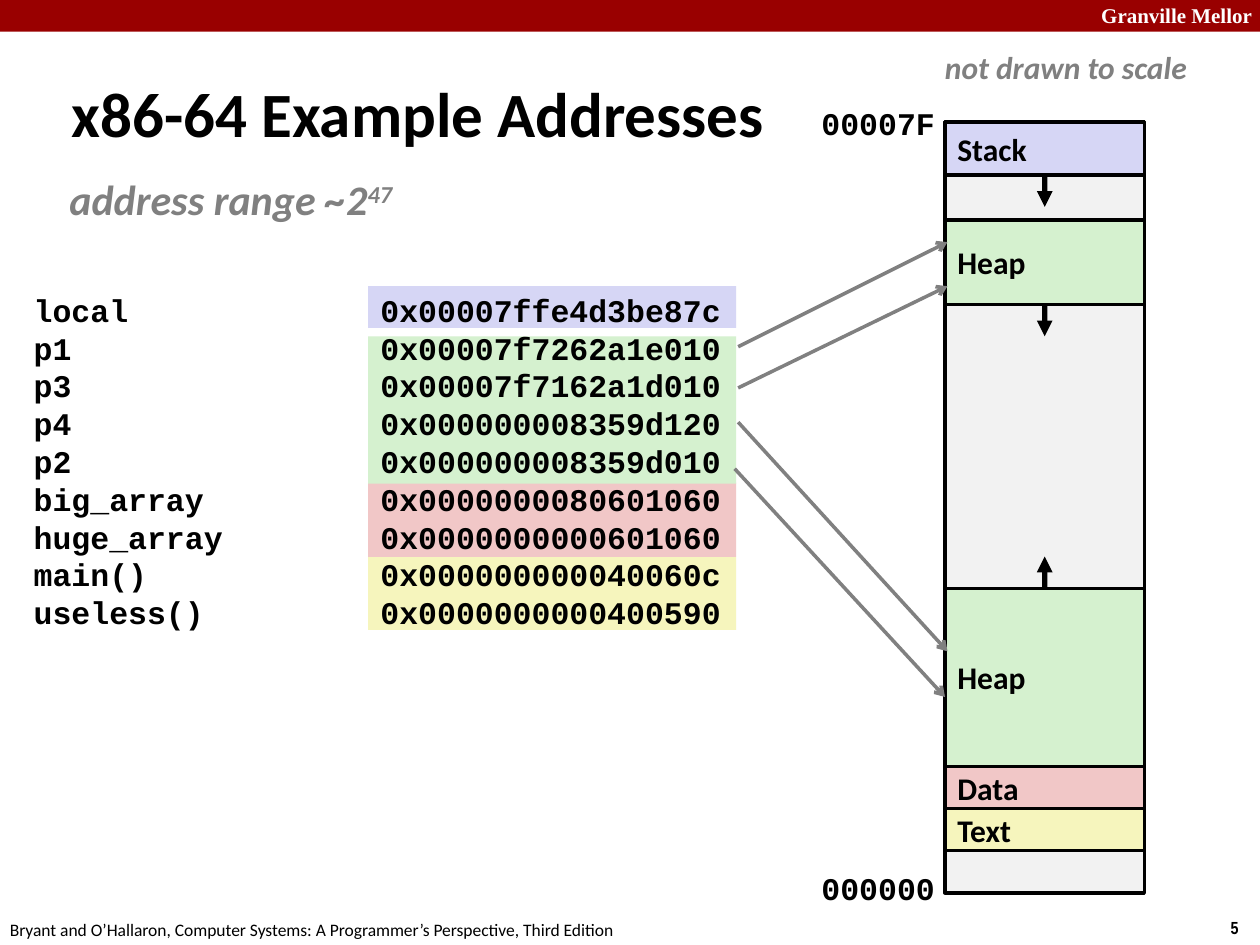
from dataclasses import dataclass

import lxml.etree
import pptx
import pptx.dml.color
import pptx.enum.shapes
import pptx.enum.text
import pptx.oxml
import pptx.oxml.ns
import pptx.util

Cm = pptx.util.Cm
Pt = pptx.util.Pt
ANCHOR = pptx.enum.text.MSO_ANCHOR
BOTTOM, TOP = 2, 0


@dataclass(frozen=True)
class Theme:
    banner: str = "990000"
    ink: str = "000000"
    paper: str = "FFFFFF"
    muted: str = "808080"
    unused: str = "F2F2F2"
    stack: str = "D6D6F5"
    heap: str = "D5F1CF"
    data: str = "F1C7C7"
    code: str = "F6F5BD"
    sans: str = "Calibri"
    mono: str = "Courier New"
    serif: str = "Times New Roman"
    narrow: str = "Arial Narrow"
    title: int = 36
    subtitle: int = 24
    body: int = 18
    banner_size: int = 12
    small: int = 10


@dataclass(frozen=True)
class Box:
    left: float
    top: float
    width: float
    height: float

    def inner(self, left, top, width, height):
        return Box(self.left + left, self.top + top, width, height)

    def lengths(self):
        return Cm(self.left), Cm(self.top), Cm(self.width), Cm(self.height)


THEME = Theme()


def rgb(value):
    return pptx.dml.color.RGBColor.from_string(value)


def style(paragraph, size, name, color=THEME.ink, bold=True, italic=False):
    font = paragraph.font
    font.size, font.name, font.bold, font.italic = Pt(size), name, bold, italic
    font.color.rgb = rgb(color)
    paragraph.alignment = pptx.enum.text.PP_ALIGN.LEFT


def add_text(slide, box, text, size, name, wrap=False, anchor=ANCHOR.TOP, **font):
    shape = slide.shapes.add_textbox(*box.lengths())
    frame = shape.text_frame
    frame.word_wrap, frame.vertical_anchor = wrap, anchor
    frame.text = text
    for paragraph in frame.paragraphs:
        style(paragraph, size, name, **font)
    return shape


def add_block(slide, box, fill, outlined=False, label=""):
    shape = slide.shapes.add_shape(
        pptx.enum.shapes.MSO_SHAPE.RECTANGLE, *box.lengths())
    shape.shadow.inherit = False
    shape.fill.solid()
    shape.fill.fore_color.rgb = rgb(fill)
    if outlined:
        shape.line.color.rgb = rgb(THEME.ink)
        shape.line.width = Pt(2)
    else:
        shape.line.fill.background()
    if label:
        shape.text_frame.text = label
        shape.text_frame.vertical_anchor = ANCHOR.MIDDLE
        style(shape.text_frame.paragraphs[0], THEME.body, THEME.sans)
    return shape


def add_arrow(slide, start, end, color, width, head):
    connector = slide.shapes.add_connector(
        pptx.enum.shapes.MSO_CONNECTOR.STRAIGHT,
        *(Cm(value) for value in (*start, *end)))
    connector.line.color.rgb = rgb(color)
    connector.line.width = Pt(width)
    qn = pptx.oxml.ns.qn
    properties = connector._element.spPr
    lxml.etree.SubElement(properties.find(qn("a:ln")), qn("a:tailEnd"), type=head)
    lxml.etree.SubElement(properties, qn("a:effectLst"))
    return connector


def add_frame(slide, page):
    add_block(slide, page.inner(0, 0, page.width, 0.64), THEME.banner)
    add_text(slide, page.inner(21.95, -0.08, 3.63, 0.76), "Granville Mellor",
             THEME.banner_size, THEME.serif, wrap=True, color=THEME.paper)
    add_text(slide, page.inner(24.56, 18.36, 0.86, 0.69), "5", THEME.small, THEME.narrow)
    add_text(slide, page.inner(-0.05, 18.41, 12.9, 0.69),
             "Bryant and O’Hallaron, Computer Systems: "
             "A Programmer’s Perspective, Third Edition",
             THEME.small, THEME.sans, bold=False)


def add_heading(slide, box):
    add_text(slide, box.inner(0, 0, box.width, 1.6), "x86-64 Example Addresses",
             THEME.title, THEME.sans, wrap=True, anchor=ANCHOR.MIDDLE)
    subtitle = add_text(slide, box.inner(0.08, 1.91, 6.88, 1.3), "address range ~2",
                        THEME.subtitle, THEME.sans, color=THEME.muted, italic=True)
    frame = subtitle.text_frame
    frame.margin_left = frame.margin_right = Cm(0.13)
    exponent = frame.paragraphs[0].add_run()
    exponent.text = "47"
    exponent._r.get_or_add_rPr().set("baseline", "30000")


def add_addresses(slide, box):
    tab = 6.99
    bands = [(5.49, 1.47, THEME.code), (3.99, 1.5, THEME.data),
             (0.03, 0.84, THEME.stack), (1.04, 2.97, THEME.heap)]
    for top, height, color in bands:
        add_block(slide, box.inner(tab, top, 7.42, height), color)
    rows = [
        ("local", "0x00007ffe4d3be87c"),
        ("p1", "0x00007f7262a1e010"),
        ("p3", "0x00007f7162a1d010"),
        ("p4", "0x000000008359d120"),
        ("p2", "0x000000008359d010"),
        ("big_array", "0x0000000080601060"),
        ("huge_array", "0x0000000000601060"),
        ("main()", "0x000000000040060c"),
        ("useless()", "0x0000000000400590"),
    ]
    listing = add_text(slide, box, "\n".join("\t".join(row) for row in rows),
                       THEME.body, THEME.mono, wrap=True)
    qn = pptx.oxml.ns.qn
    for paragraph in listing.text_frame.paragraphs:
        paragraph.line_spacing = Pt(21.6)
        tabs = lxml.etree.Element(qn("a:tabLst"))
        lxml.etree.SubElement(tabs, qn("a:tab"), pos=str(int(Cm(tab))), algn="l")
        properties = paragraph._p.get_or_add_pPr()
        properties.find(qn("a:lnSpc")).addnext(tabs)


def add_memory(slide, box):
    add_text(slide, box.inner(-0.25, -1.62, 5.41, 1.02), "not drawn to scale",
             THEME.body, THEME.sans, color=THEME.muted, italic=True)
    for top, address in [(-0.48, "00007F"), (14.94, "000000")]:
        add_text(slide, box.inner(-2.74, top, 2.82, 1.02), address,
                 THEME.body, THEME.mono)
    add_block(slide, box, THEME.unused, outlined=True)
    growth = 0.64
    regions = [
        ("Text", 13.84, 0.85, THEME.code, None),
        ("Data", 12.99, 0.85, THEME.data, None),
        ("Heap", 9.4, 3.59, THEME.heap, TOP),
        ("Heap", 1.98, 1.7, THEME.heap, BOTTOM),
        ("Stack", 0, 1.07, THEME.stack, BOTTOM),
    ]
    for label, top, height, color, side in regions:
        block = add_block(slide, box.inner(0, top, box.width, height), color, True, label)
        if side is not None:
            x = box.left + box.width / 2
            start = box.top + top + (height if side == BOTTOM else 0)
            end = start + (growth if side == BOTTOM else -growth)
            arrow = add_arrow(slide, (x, start), (x, end), THEME.ink, 3, "triangle")
            arrow.begin_connect(block, side)


def add_pointers(slide, box):
    pointers = [((0, 2.11), (4.22, 0)), ((0, 2.94), (4.22, 0.89)),
                ((0, 3.63), (4.22, 8.25)), ((-0.07, 4.57), (4.17, 9.17))]
    for ends in pointers:
        start, end = ((box.left + x, box.top + y) for x, y in ends)
        add_arrow(slide, start, end, THEME.muted, 2, "arrow")


def main():
    page = Box(0, 0, 25.4, 19.05)
    presentation = pptx.Presentation()
    presentation.slide_width, presentation.slide_height = page.lengths()[2:]
    slide = presentation.slides.add_slide(presentation.slide_layouts[6])
    add_frame(slide, page)
    add_heading(slide, Box(1.19, 1.47, 18.26, 3.2))
    add_addresses(slide, Box(0.43, 5.74, 15.67, 7.16))
    add_memory(slide, Box(19.05, 2.46, 4.02, 15.54))
    add_pointers(slide, Box(14.88, 4.88, 4.22, 9.17))
    presentation.save("out.pptx")


if __name__ == "__main__":
    main()
